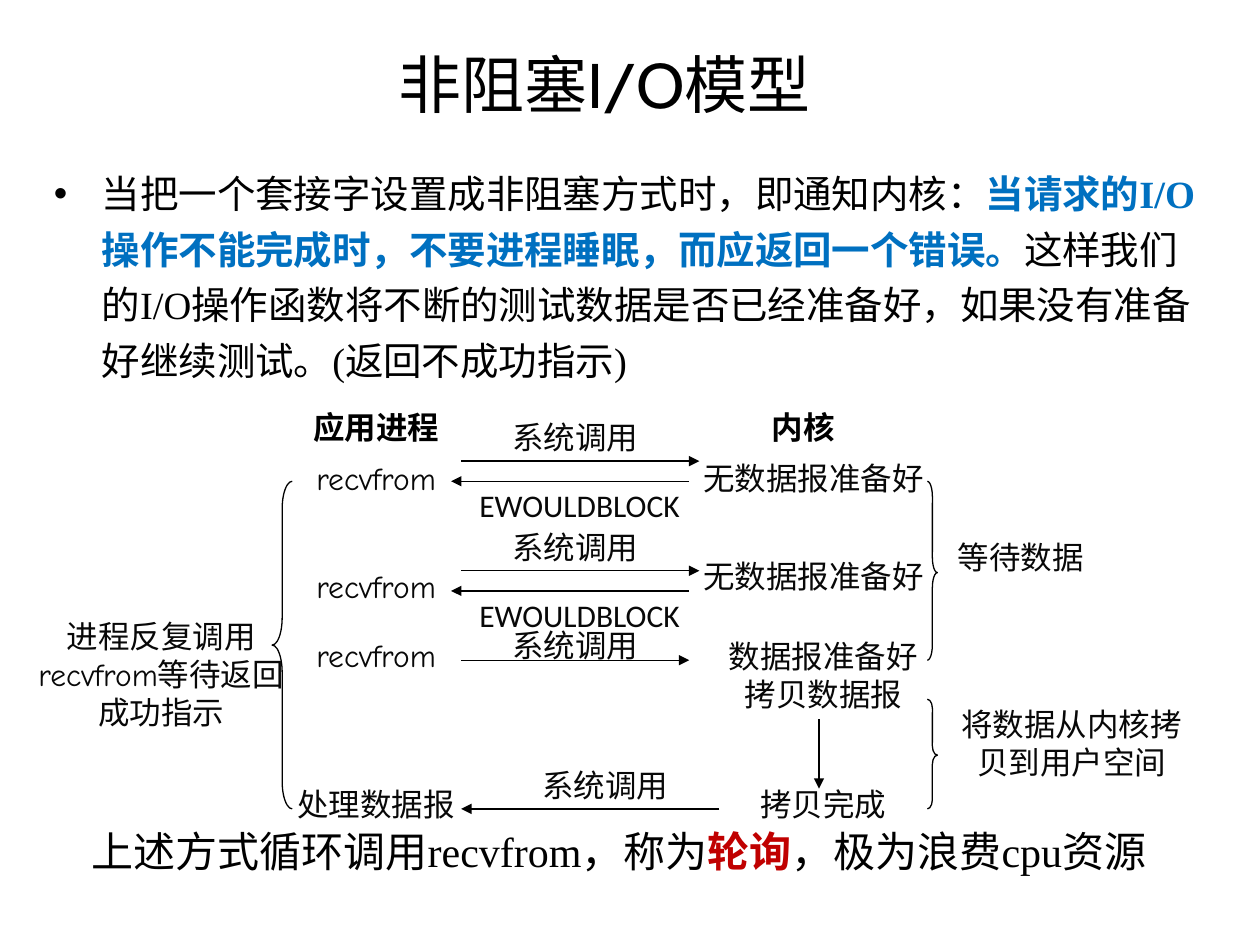
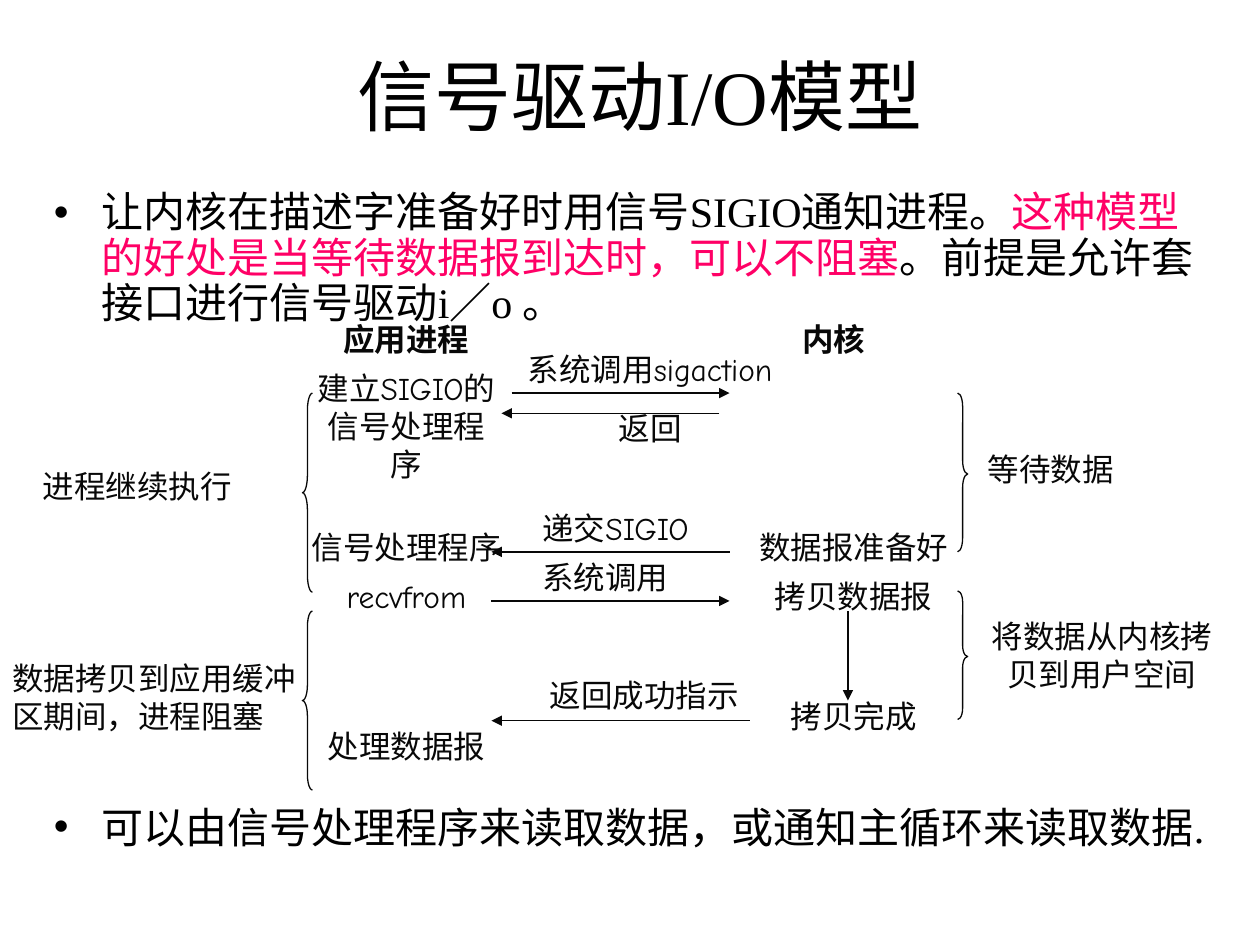
from dataclasses import dataclass

import lxml.etree
import pptx
import pptx.dml.color
import pptx.enum.shapes
import pptx.enum.text
import pptx.oxml
import pptx.oxml.ns
import pptx.slide
import pptx.text.text
import pptx.util

Inches, Pt = pptx.util.Inches, pptx.util.Pt
RGBColor = pptx.dml.color.RGBColor
Shape = pptx.enum.shapes.MSO_SHAPE
Align = pptx.enum.text.PP_ALIGN
qn = pptx.oxml.ns.qn

# Shared look
BLACK = RGBColor(0x00, 0x00, 0x00)
INK = RGBColor(0x08, 0x08, 0x08)
BLUE = RGBColor(0x00, 0x70, 0xC0)
RED = RGBColor(0xC0, 0x00, 0x00)
PINK = RGBColor(0xFF, 0x00, 0x66)
SERIF, HAND, SANS, HEAD = "Times New Roman", "Comic Neue", "Calibri", "Cabin"
THIN = Pt(0.75)
LABEL = 18
INDENT = Inches(0.38)
LEFT, RIGHT = Shape.LEFT_BRACE, Shape.RIGHT_BRACE


@dataclass
class Piece:
    text: str
    color: RGBColor = BLACK
    bold: bool = False


@dataclass
class Label:
    text: str
    x: float
    y: float
    wide: float = 1.65
    high: float = 0.4
    color: RGBColor = INK
    bold: bool = False
    font: str = HAND
    align: Align = Align.CENTER
    gap: float = 1.0


@dataclass
class Arrow:
    x: float
    y: float
    to_x: float
    to_y: float


@dataclass
class Brace:
    kind: Shape
    x: float
    y: float
    high: float
    bend: float
    wide: float = 0.08


def add_run(para: pptx.text.text._Paragraph, piece: Piece,
            font: str, size: float) -> None:
    run = para.add_run()
    run.text = piece.text
    run.font.name = font
    run.font.size = Pt(size)
    run.font.bold = piece.bold
    run.font.color.rgb = piece.color


def set_title(slide: pptx.slide.Slide, text: str, font: str, size: float,
              x: float, y: float, high: float) -> None:
    title = slide.shapes.title
    title.left, title.top = Inches(x), Inches(y)
    title.width, title.height = Inches(8.5), Inches(high)
    frame = title.text_frame
    frame.vertical_anchor = pptx.enum.text.MSO_ANCHOR.MIDDLE
    frame.auto_size = pptx.enum.text.MSO_AUTO_SIZE.NONE
    para = frame.paragraphs[0]
    para.alignment = Align.CENTER
    add_run(para, Piece(text), font, size)


def add_body(slide: pptx.slide.Slide, pieces: list[Piece], y: float,
             high: float, size: float, space: float = 1.0, x: float = 0.33,
             wide: float = 9.34, bullet: bool = True) -> None:
    box = slide.shapes.add_textbox(
        Inches(x), Inches(y), Inches(wide), Inches(high))
    box.text_frame.word_wrap = True
    para = box.text_frame.paragraphs[0]
    para.line_spacing = space
    para.space_before = Pt(size * 0.2)
    if bullet:
        props = para._p.get_or_add_pPr()
        props.set("marL", str(INDENT))
        props.set("indent", str(-INDENT))
        face = lxml.etree.SubElement(props, qn("a:buFont"))
        face.set("typeface", "Arial")
        lxml.etree.SubElement(props, qn("a:buChar")).set("char", "•")
    for piece in pieces:
        add_run(para, piece, SERIF, size)


def add_label(slide: pptx.slide.Slide, label: Label) -> None:
    box = slide.shapes.add_textbox(Inches(label.x), Inches(label.y),
                                   Inches(label.wide), Inches(label.high))
    frame = box.text_frame
    frame.word_wrap = True
    frame.auto_size = pptx.enum.text.MSO_AUTO_SIZE.SHAPE_TO_FIT_TEXT
    for i, line in enumerate(label.text.split("\n")):
        para = frame.add_paragraph() if i else frame.paragraphs[0]
        para.alignment = label.align
        if i:
            para.line_spacing = label.gap
        add_run(para, Piece(line, label.color, label.bold), label.font, LABEL)


def add_arrow(slide: pptx.slide.Slide, arrow: Arrow, color: RGBColor) -> None:
    line = slide.shapes.add_connector(
        pptx.enum.shapes.MSO_CONNECTOR.STRAIGHT,
        Inches(arrow.x), Inches(arrow.y), Inches(arrow.to_x), Inches(arrow.to_y))
    line.line.color.rgb = color
    line.line.width = THIN
    tip = lxml.etree.SubElement(line.line._get_or_add_ln(), qn("a:tailEnd"))
    tip.set("type", "triangle")
    lxml.etree.SubElement(line._element.spPr, qn("a:effectLst"))


def add_brace(slide: pptx.slide.Slide, brace: Brace, color: RGBColor) -> None:
    shape = slide.shapes.add_shape(
        brace.kind, Inches(brace.x), Inches(brace.y),
        Inches(brace.wide), Inches(brace.high))
    shape.shadow.inherit = False
    shape.fill.background()
    shape.line.color.rgb = color
    shape.line.width = THIN
    shape.adjustments[0] = brace.bend
    shape.adjustments[1] = 0.5 if brace.kind == LEFT else 0.51


def draw(slide: pptx.slide.Slide, parts: list[Label | Arrow | Brace],
         color: RGBColor) -> None:
    for part in parts:
        if isinstance(part, Label):
            add_label(slide, part)
        elif isinstance(part, Arrow):
            add_arrow(slide, part, color)
        else:
            add_brace(slide, part, color)


def heads(app: float, core: float, y: float, color: RGBColor) -> list[Label]:
    return [Label("应用进程", app, y, color=color, bold=True),
            Label("内核", core, y, color=color, bold=True)]


def phases(x: float, wait: float, copy: float) -> list[Label]:
    return [Label("等待数据", x, wait, 1.2),
            Label("将数据从内核拷贝到用户空间", x + 0.02, copy, 1.97, 0.7)]


def add_poll(slide: pptx.slide.Slide) -> None:
    set_title(slide, "非阻塞I/O模型", HEAD, 36, 0.55, 0.04, 1.25)
    add_body(slide, [
        Piece("当把一个套接字设置成非阻塞方式时，即通知内核："),
        Piece("当请求的I/O操作不能完成时，不要进程睡眠，而应返回一个错误。",
              BLUE, True),
        Piece("这样我们的I/O操作函数将不断的测试数据是否已经准备好，"
              "如果没有准备好继续测试。(返回不成功指示)"),
    ], 1.23, 1.9, 22, 1.2)
    app, core, call = 2.16, 5.55, 3.74
    parts = heads(app, core, 3.19, BLACK) + phases(7.5, 4.22, 5.55)

    # Calls that come back with an error
    for y, ask, reply in ((3.66, 3.59, 3.59), (4.53, 4.45, 4.37)):
        parts += [
            Label("recvfrom", app, ask),
            Label("系统调用", call, y - 0.39),
            Arrow(3.66, y, 5.55, y),
            Label("无数据报准备好", 5.47, reply, 1.97),
            Arrow(5.47, y + 0.16, 3.58, y + 0.16),
            Label("EWOULDBLOCK", 3.5, y + 0.15, 2.2, font=SANS),
        ]

    # Call that succeeds, then the copy
    parts += [
        Label("recvfrom", app, 5),
        Label("系统调用", call, 4.92),
        Arrow(3.66, 5.24, 5.47, 5.24),
        Label("数据报准备好\n拷贝数据报", core, 5.01, 1.97, 0.7),
        Arrow(6.5, 5.71, 6.5, 6.26),
        Label("拷贝完成", core, 6.18, 1.97),
        Label("系统调用", 3.98, 6.03),
        Arrow(5.71, 6.42, 3.66, 6.42),
        Label("处理数据报", app, 6.18),
        Label("进程反复调用recvfrom等待返回成功指示", 0.2, 4.85, 2.16, 1.01),
        Brace(LEFT, app, 3.82, 2.6, 1.37, 0.16),
        Brace(RIGHT, 7.36, 3.82, 1.42, 1.51),
        Brace(RIGHT, 7.36, 5.55, 0.87, 0.92),
    ]
    draw(slide, parts, BLACK)
    add_body(slide, [
        Piece("上述方式循环调用recvfrom，称为"),
        Piece("轮询", RED, True),
        Piece("，极为浪费cpu资源"),
    ], 6.5, 0.6, 24, x=0.63, wide=9.04, bullet=False)


def add_signal(slide: pptx.slide.Slide) -> None:
    set_title(slide, "信号驱动I/O模型", SERIF, 44, 0.83, 0.42, 0.67)
    add_body(slide, [
        Piece("让内核在描述字准备好时用信号SIGIO通知进程。"),
        Piece("这种模型的好处是当等待数据报到达时，可以不阻塞", PINK),
        Piece("。前提是允许套接口进行信号驱动i／o 。"),
    ], 1.47, 1.2, 24, 0.9)
    app, core, call = 2.4, 5.79, 3.98
    parts = heads(app, core, 2.49, INK) + phases(7.74, 3.52, 4.85)

    # Handler set up
    parts += [
        Label("建立SIGIO的信号处理程序", app, 2.88, high=1),
        Label("系统调用sigaction", call, 2.73, 2.36),
        Arrow(4.06, 3.12, core, 3.12),
        Arrow(5.71, 3.28, call, 3.28),
        Label("返回", call, 3.2, 2.36),
        Label("进程继续执行", 0.24, 3.66, 2.24, align=Align.LEFT),
        Brace(LEFT, app, 3.12, 1.58, 1.68),
        Brace(RIGHT, 7.6, 3.12, 1.26, 1.34),
    ]

    # Signal sent, then the copy
    parts += [
        Label("信号处理程序", 2.32, 4.14, 1.81),
        Label("递交SIGIO", call, 3.99, 1.81),
        Arrow(core, 4.38, 3.9, 4.38),
        Label("数据报准备好\n拷贝数据报", core, 4.14, 1.97, 0.79, gap=1.3),
        Label("recvfrom", app, 4.53),
        Label("系统调用", call, 4.38),
        Arrow(3.9, 4.77, core, 4.77),
        Arrow(6.73, 4.85, 6.73, 5.56),
        Label("拷贝完成", core, 5.48, 1.97),
        Label("返回成功指示", 4.21, 5.32, 1.81),
        Arrow(5.95, 5.72, 3.9, 5.72),
        Label("处理数据报", app, 5.72),
        Label("数据拷贝到应用缓冲区期间，进程阻塞", 0, 5.18, 2.6, 0.7,
              align=Align.LEFT),
        Brace(LEFT, app, 4.85, 1.42, 1.51),
        Brace(RIGHT, 7.6, 4.69, 1.02, 1.09),
    ]
    draw(slide, parts, INK)
    add_body(slide, [
        Piece("可以由信号处理程序来读取数据，或通知主循环来读取数据."),
    ], 6.31, 0.6, 24, wide=9.5)


def main() -> None:
    deck = pptx.Presentation()
    deck.slide_width, deck.slide_height = Inches(10), Inches(7.5)
    for build in (add_poll, add_signal):
        build(deck.slides.add_slide(deck.slide_layouts[5]))
    deck.save("out.pptx")


if __name__ == "__main__":
    main()
